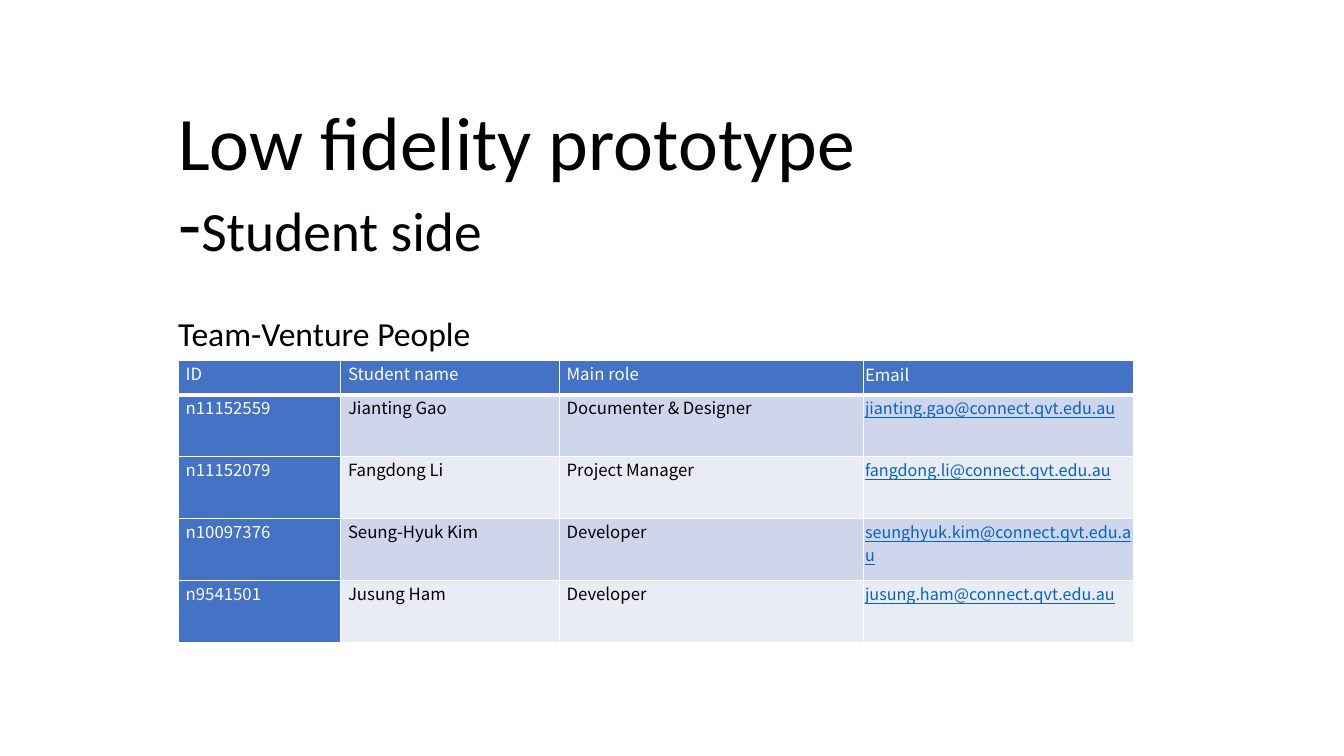
from dataclasses import dataclass

from lxml.etree import SubElement
from pptx import Presentation
from pptx.dml.color import RGBColor
from pptx.enum.text import MSO_ANCHOR
from pptx.oxml.ns import qn
from pptx.util import Cm, Pt

COLORS = {
    "text": "000000",
    "white": "FFFFFF",
    "header": "4472C4",
    "odd_row": "CFD5EA",
    "even_row": "E9EBF5",
    "email": "0563C1",
}
HEADING_FONT = "Calibri"
TABLE_FONT = "Noto Sans CJK SC"


@dataclass
class Heading:
    top: float
    height: float
    anchor: MSO_ANCHOR
    line_spacing: float
    space_before: float
    wording: list[tuple[str, float]]


@dataclass
class Member:
    number: str
    name: str
    role: str
    email: str


HEADINGS = [
    Heading(3.12, 3.76, MSO_ANCHOR.BOTTOM, 0.9, 0,
            [("Low fidelity prototype\v-", 54), ("Student side", 39.6)]),
    Heading(7.95, 1.14, MSO_ANCHOR.TOP, 0.8, 10, [("Team-Venture People", 24)]),
]
COLUMN_TITLES = ["ID", "Student name", "Main role", "Email"]
MEMBERS = [
    Member("n11152559", "Jianting Gao", "Documenter & Designer", "jianting.gao"),
    Member("n11152079", "Fangdong Li", "Project Manager", "fangdong.li"),
    Member("n10097376", "Seung-Hyuk Kim", "Developer", "seunghyuk.kim"),
    Member("n9541501", "Jusung Ham", "Developer", "jusung.ham"),
]
EMAIL_DOMAIN = "@connect.qvt.edu.au"
COLUMN_WIDTHS = [4.09, 5.51, 7.67, 6.81]
HEADER_HEIGHT, MEMBER_HEIGHT = 0.86, 1.56


def style_span(span, font: str, size: float, color: str) -> None:
    span.font.name = font
    span.font.size = Pt(size)
    span.font.bold = False
    span.font.color.rgb = RGBColor.from_string(COLORS[color])


def draw_heading(page, heading: Heading) -> None:
    box = page.shapes.add_textbox(Cm(4.24), Cm(heading.top), Cm(25.4), Cm(heading.height))
    frame = box.text_frame
    frame.word_wrap = True
    frame.vertical_anchor = heading.anchor
    para = frame.paragraphs[0]
    para.line_spacing = heading.line_spacing
    para.space_before = Pt(heading.space_before)
    for text, size in heading.wording:
        first_new = len(para.runs)
        if first_new:
            para.add_run().text = text
        else:
            para.text = text
        for span in para.runs[first_new:]:
            style_span(span, HEADING_FONT, size, "text")


def draw_borders(cell, bottom_width: float) -> None:
    properties = cell._tc.get_or_add_tcPr()
    for side, width in (("L", 1), ("R", 1), ("T", 1), ("B", bottom_width)):
        line = SubElement(properties, qn(f"a:ln{side}"), w=str(Pt(width)))
        fill = SubElement(line, qn("a:solidFill"))
        SubElement(fill, qn("a:srgbClr"), val=COLORS["white"])


def draw_cell(cell, text: str, row: int, column: int) -> None:
    is_header = row == 0
    in_email_column = column == 3
    is_email = in_email_column and not is_header
    on_blue = is_header or column == 0

    # Margins, borders and fill
    cell.margin_left = cell.margin_right = Cm(0.03 if in_email_column else 0.18)
    cell.margin_top = cell.margin_bottom = Cm(0.03 if in_email_column else 0)
    draw_borders(cell, 3 if is_header else 1)
    band = "odd_row" if row % 2 else "even_row"
    cell.fill.solid()
    cell.fill.fore_color.rgb = RGBColor.from_string(COLORS["header" if on_blue else band])

    # Text
    cell.text_frame.text = text
    span = cell.text_frame.paragraphs[0].runs[0]
    color = "white" if on_blue else "email" if is_email else "text"
    style_span(span, TABLE_FONT, 11.5 if is_email else 12, color)
    span.font.underline = is_email


def draw_team_table(page) -> None:
    rows = [COLUMN_TITLES] + [
        [member.number, member.name, member.role, member.email + EMAIL_DOMAIN]
        for member in MEMBERS
    ]
    heights = [HEADER_HEIGHT] + [MEMBER_HEIGHT] * len(MEMBERS)
    table = page.shapes.add_table(
        len(rows), len(COLUMN_TITLES), Cm(4.5), Cm(9.09),
        Cm(sum(COLUMN_WIDTHS)), Cm(sum(heights)),
    ).table
    for column, width in zip(table.columns, COLUMN_WIDTHS):
        column.width = Cm(width)
    for row, height in zip(table.rows, heights):
        row.height = Cm(height)
    for row_index, texts in enumerate(rows):
        for column_index, text in enumerate(texts):
            draw_cell(table.cell(row_index, column_index), text, row_index, column_index)


deck = Presentation()
deck.slide_width, deck.slide_height = Cm(33.87), Cm(19.05)
page = deck.slides.add_slide(deck.slide_layouts[6])

# Title and team name
for heading in HEADINGS:
    draw_heading(page, heading)

# Team members
draw_team_table(page)

deck.save("out.pptx")
